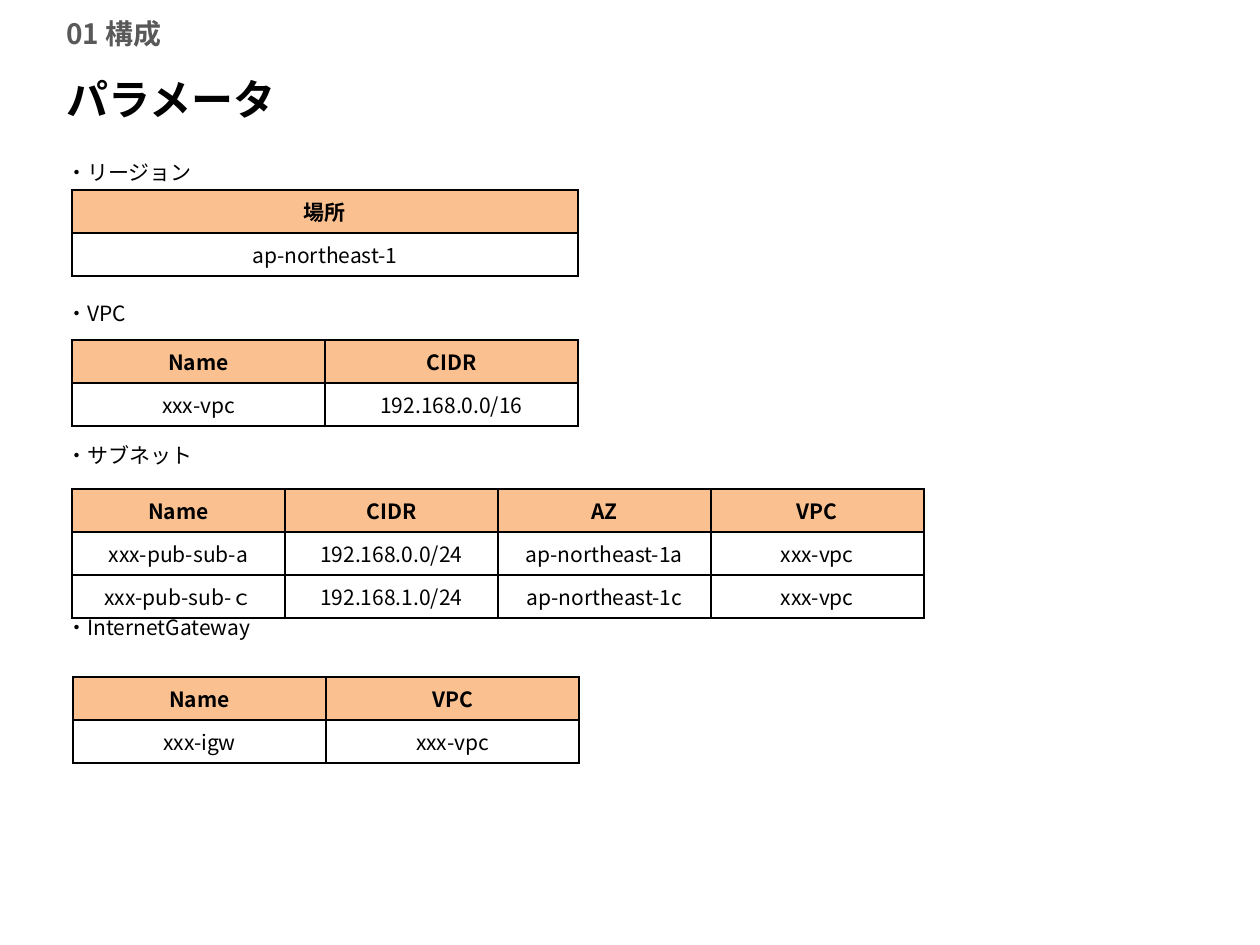
"""Build the parameter slide: a heading and four captioned tables."""
from dataclasses import dataclass

import pptx
import pptx.dml.color
import pptx.enum.text
import pptx.oxml.ns
import pptx.util
from lxml import etree

PX = 914400 / 126
FONT = "Noto Sans CJK JP"
BLACK, GRAY, WHITE, ORANGE = "000000", "595959", "FFFFFF", "FAC090"
ROW_HEIGHT = 43
MIDDLE = pptx.enum.text.MSO_ANCHOR.MIDDLE


@dataclass
class Heading:
    text: str
    top: int
    width: int
    height: int
    size: int
    color: str


@dataclass
class Section:
    caption: str
    space_before: float
    left: int
    top: int
    column_width: int
    rows: list[list[str]]


HEADINGS = [
    Heading("01 構成", 0, 367, 67, 16, GRAY),
    Heading("パラメータ", 58, 1056, 81, 24, BLACK),
]
SECTIONS = [
    Section("・リージョン", 0, 72, 190, 506, [["場所"], ["ap-northeast-1"]]),
    Section("・VPC", 66.6, 72, 340, 253,
            [["Name", "CIDR"], ["xxx-vpc", "192.168.0.0/16"]]),
    Section("・サブネット", 66.6, 72, 489, 213,
            [["Name", "CIDR", "AZ", "VPC"],
             ["xxx-pub-sub-a", "192.168.0.0/24", "ap-northeast-1a", "xxx-vpc"],
             ["xxx-pub-sub-ｃ", "192.168.1.0/24", "ap-northeast-1c", "xxx-vpc"]]),
    Section("・InternetGateway", 83.7, 73, 677, 253,
            [["Name", "VPC"], ["xxx-igw", "xxx-vpc"]]),
]


def px(length: int) -> pptx.util.Emu:
    return pptx.util.Emu(round(length * PX))


def rgb(color: str) -> pptx.dml.color.RGBColor:
    return pptx.dml.color.RGBColor.from_string(color)


def add_span(para, text: str, size: int = 12, color: str = BLACK, bold: bool = False) -> None:
    span = para.add_run()
    span.text = text
    span.font.size = pptx.util.Pt(size)
    span.font.bold = bold
    span.font.color.rgb = rgb(color)
    span.font.name = FONT
    east_asian = etree.SubElement(span.font._element, pptx.oxml.ns.qn("a:ea"))
    east_asian.set("typeface", FONT)


def add_box(slide, top: int, width: int, height: int):
    box = slide.shapes.add_textbox(px(54), px(top), px(width), px(height))
    box.text_frame.word_wrap = True
    return box


def add_heading(slide, heading: Heading) -> None:
    frame = add_box(slide, heading.top, heading.width, heading.height).text_frame
    frame.vertical_anchor = MIDDLE
    add_span(frame.paragraphs[0], heading.text, heading.size, heading.color, True)


def add_captions(slide, sections: list[Section]) -> None:
    box = add_box(slide, 153, 1158, 615)
    box.fill.solid()
    box.fill.fore_color.rgb = rgb(WHITE)
    for index, section in enumerate(sections):
        frame = box.text_frame
        para = frame.add_paragraph() if index else frame.paragraphs[0]
        para.space_before = pptx.util.Pt(section.space_before)
        add_span(para, section.caption)


def add_borders(cell) -> None:
    properties = cell._tc.get_or_add_tcPr()
    for side in ("lnL", "lnR", "lnT", "lnB"):
        line = etree.SubElement(properties, pptx.oxml.ns.qn(f"a:{side}"), w="12700")
        fill = etree.SubElement(line, pptx.oxml.ns.qn("a:solidFill"))
        etree.SubElement(fill, pptx.oxml.ns.qn("a:srgbClr"), val=BLACK)


def add_section_table(slide, section: Section) -> None:
    row_count, column_count = len(section.rows), len(section.rows[0])
    table = slide.shapes.add_table(
        row_count, column_count, px(section.left), px(section.top),
        px(section.column_width * column_count), px(ROW_HEIGHT * row_count)).table
    for column in table.columns:
        column.width = px(section.column_width)
    for row_index, texts in enumerate(section.rows):
        is_header = row_index == 0
        table.rows[row_index].height = px(ROW_HEIGHT)
        for column_index, text in enumerate(texts):
            cell = table.cell(row_index, column_index)
            add_borders(cell)
            cell.fill.solid()
            cell.fill.fore_color.rgb = rgb(ORANGE if is_header else WHITE)
            para = cell.text_frame.paragraphs[0]
            para.alignment = pptx.enum.text.PP_ALIGN.CENTER
            add_span(para, text, bold=is_header)


def main() -> None:
    deck = pptx.Presentation()
    deck.slide_width, deck.slide_height = px(1260), px(945)
    page = deck.slides.add_slide(deck.slide_layouts[6])
    add_captions(page, SECTIONS)
    for heading in HEADINGS:
        add_heading(page, heading)
    for section in SECTIONS:
        add_section_table(page, section)
    deck.save("out.pptx")


if __name__ == "__main__":
    main()
